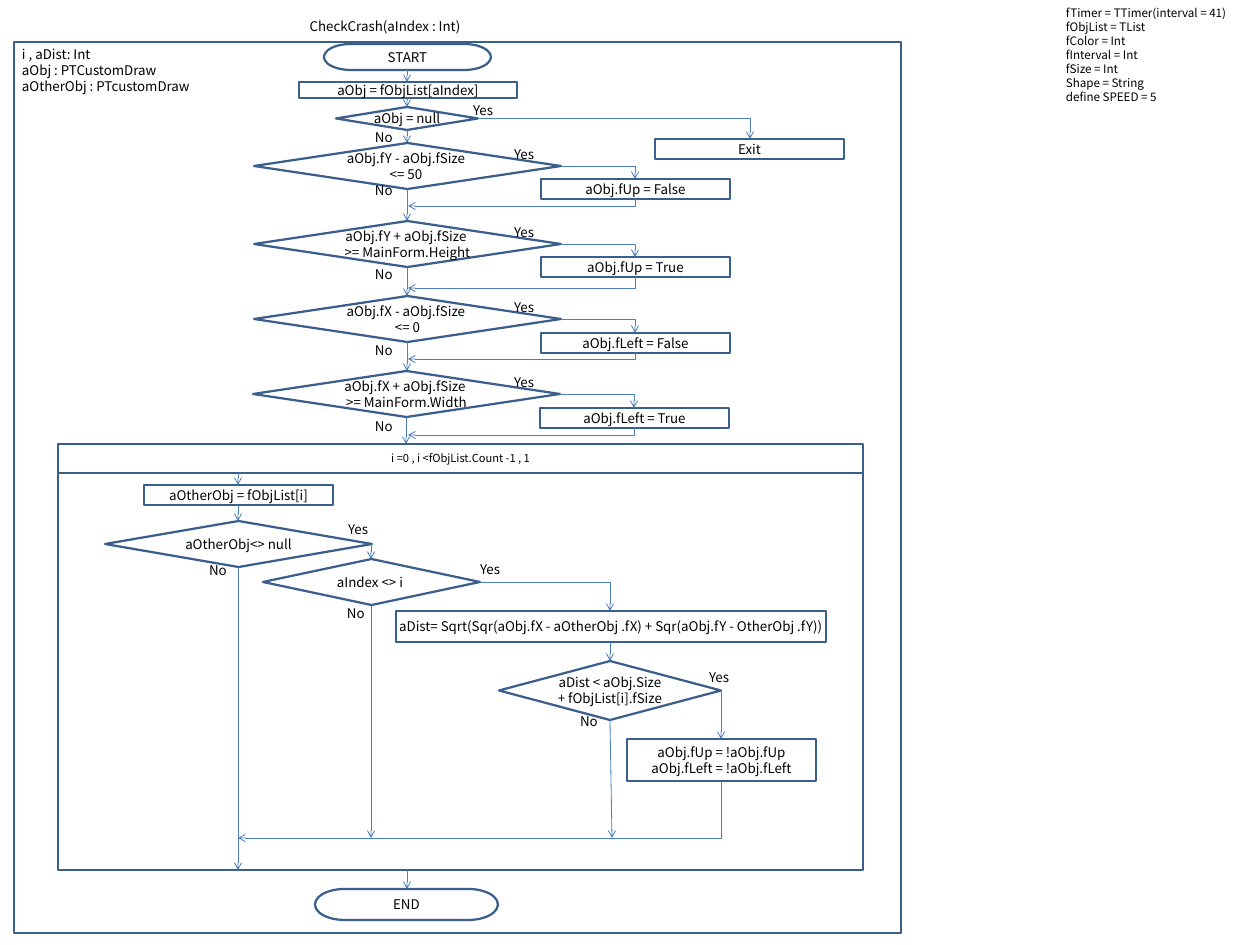
"""Build the CheckCrash flowchart slide."""
from dataclasses import dataclass

from lxml import etree
from pptx import Presentation
from pptx.dml.color import RGBColor
from pptx.enum.shapes import MSO_CONNECTOR, MSO_SHAPE
from pptx.enum.text import MSO_ANCHOR, PP_ALIGN
from pptx.oxml.ns import qn
from pptx.util import Emu, Pt

RECT = MSO_SHAPE.RECTANGLE
DECISION = MSO_SHAPE.FLOWCHART_DECISION
TERMINATOR = MSO_SHAPE.FLOWCHART_TERMINATOR
STRAIGHT, ELBOW = MSO_CONNECTOR.STRAIGHT, MSO_CONNECTOR.ELBOW
LEFT, CENTER = PP_ALIGN.LEFT, PP_ALIGN.CENTER
TOP, MIDDLE = MSO_ANCHOR.TOP, MSO_ANCHOR.MIDDLE
PIXEL = 11430
FONT = "Noto Sans CJK KR"
BORDER, FLOW, INK = "3A5F8C", "4B7EBC", "000000"
MAIN_X, MERGE_X, ASSIGN_X = 407, 408, 635
LOOP_X, INDEX_X, DISTANCE_X, BOUNCE_X = 238, 371, 610, 721
LOOP_TOP, LOOP_JOIN, LOOP_END = 444, 838, 870


@dataclass
class Node:
    kind: MSO_SHAPE
    x: int
    y: int
    width: int
    height: int
    text: str = ""
    size: float = 12


@dataclass
class Note:
    x: int
    y: int
    width: int
    height: int
    text: str
    size: float = 12
    align: PP_ALIGN = LEFT
    anchor: MSO_ANCHOR = TOP


@dataclass
class Arrow:
    x1: int
    y1: int
    x2: int
    y2: int


@dataclass
class SideStep(Arrow):
    """Arrow that runs across, then down."""


@dataclass
class ReturnStep(Arrow):
    """Arrow that runs down, then back to the left."""


@dataclass
class BorderCheck:
    top: int
    condition: str
    action: str
    action_top: int
    no_top: int
    merge_y: int
    shift: int = 0


def px(value: float) -> Emu:
    return Emu(round(value * PIXEL))


def color(value: str) -> RGBColor:
    return RGBColor.from_string(value)


def write(frame, text: str, size: float, align: PP_ALIGN, anchor: MSO_ANCHOR) -> None:
    frame.word_wrap = True
    frame.vertical_anchor = anchor
    frame.margin_left = frame.margin_right = frame.margin_top = frame.margin_bottom = 0
    frame.text = text
    for paragraph in frame.paragraphs:
        paragraph.alignment = align
        paragraph.font.name = FONT
        paragraph.font.size = Pt(size)
        paragraph.font.color.rgb = color(INK)


def draw_node(slide, node: Node) -> None:
    shape = slide.shapes.add_shape(
        node.kind, px(node.x), px(node.y), px(node.width), px(node.height))
    shape.shadow.inherit = False
    shape.fill.background()
    shape.line.color.rgb = color(BORDER)
    shape.line.width = Pt(2)
    if node.text:
        write(shape.text_frame, node.text, node.size, CENTER, MIDDLE)


def draw_note(slide, note: Note) -> None:
    box = slide.shapes.add_textbox(px(note.x), px(note.y), px(note.width), px(note.height))
    write(box.text_frame, note.text, note.size, note.align, note.anchor)


def draw_arrow(slide, arrow: Arrow) -> None:
    x1, y1, x2, y2 = arrow.x1, arrow.y1, arrow.x2, arrow.y2
    returning = isinstance(arrow, ReturnStep)
    if returning:
        mid_x, mid_y = (x1 + x2) / 2, (y1 + y2) / 2
        half_run, half_drop = abs(x2 - x1) / 2, abs(y2 - y1) / 2
        x1, x2 = mid_x - half_drop, mid_x + half_drop
        y1, y2 = mid_y - half_run, mid_y + half_run
    bent = isinstance(arrow, (SideStep, ReturnStep))
    connector = slide.shapes.add_connector(
        ELBOW if bent else STRAIGHT, px(x1), px(y1), px(x2), px(y2))
    connector.line.color.rgb = color(FLOW)
    connector.line.width = Pt(0.75)
    properties = connector.element.spPr
    if bent:
        properties.find(qn("a:prstGeom")).set("prst", "bentConnector2")
    if returning:
        properties.find(qn("a:xfrm")).set("rot", "5400000")
    etree.SubElement(properties.find(qn("a:ln")), qn("a:tailEnd"), type="arrow")
    etree.SubElement(properties, qn("a:effectLst"))


def yes(x: int, y: int) -> Note:
    return Note(x, y, 28, 12, "Yes")


def no(x: int, y: int) -> Note:
    return Note(x, y, 28, 12, "No")


def check_parts(check: BorderCheck, next_top: int) -> list:
    middle, bottom = check.top + 23, check.top + 46
    action_x = ASSIGN_X + check.shift
    return [
        Node(DECISION, 254 + check.shift, check.top, 307, 46, check.condition),
        Node(RECT, 541 + check.shift, check.action_top, 189, 20, check.action),
        SideStep(561 + check.shift, middle, action_x, check.action_top),
        ReturnStep(action_x, check.action_top + 20, MERGE_X, check.merge_y),
        Arrow(MAIN_X + check.shift, bottom, MAIN_X + check.shift, next_top),
        yes(514, check.top + 3),
        no(375, check.no_top),
    ]


CHECKS = [
    BorderCheck(143, "aObj.fY - aObj.fSize \n<= 50 ", "aObj.fUp = False", 179, 182, 206),
    BorderCheck(221, "aObj.fY + aObj.fSize \n>= MainForm.Height", "aObj.fUp = True", 257, 266, 288),
    BorderCheck(296, "aObj.fX - aObj.fSize \n<= 0", "aObj.fLeft = False", 333, 342, 359),
    BorderCheck(371, "aObj.fX + aObj.fSize \n>= MainForm.Width", "aObj.fLeft = True",
                408, 418, 435, -1),
]
FRAME = [
    Node(RECT, 14, 42, 887, 891),
    Note(14, 13, 742, 26, "CheckCrash(aIndex : Int)", align=CENTER, anchor=MIDDLE),
    Note(22, 46, 185, 49, "i , aDist: Int\naObj : PTCustomDraw\naOtherObj : PTcustomDraw"),
    Note(1066, 6, 194, 99, "fTimer = TTimer(interval = 41)\nfObjList = TList\nfColor = Int\n"
         "fInterval = Int\nfSize = Int\nShape = String\ndefine SPEED = 5", 10.5),
]
OPENING = [
    Node(TERMINATOR, 324, 44, 167, 26, "START"),
    Node(RECT, 299, 82, 218, 16, "aObj = fObjList[aIndex]"),
    Node(DECISION, 336, 107, 142, 23, "aObj = null"),
    Node(RECT, 655, 139, 189, 20, "Exit"),
    Arrow(MAIN_X, 70, MAIN_X, 82),
    Arrow(MAIN_X, 98, MAIN_X, 107),
    Arrow(MAIN_X, 130, MAIN_X, 143),
    SideStep(478, 118, 750, 139),
    yes(473, 102),
    no(375, 129),
]
LOOP = [
    Node(RECT, 58, 473, 805, 397),
    Node(RECT, 58, LOOP_TOP, 805, 29, "i =0 , i <fObjList.Count -1 , 1", 10),
    Node(RECT, 144, 485, 189, 20, "aOtherObj = fObjList[i]"),
    Node(DECISION, 105, 521, 267, 46, "aOtherObj<> null"),
    Node(DECISION, 263, 559, 217, 46, "aIndex <> i "),
    Node(RECT, 396, 611, 430, 31,
         "aDist= Sqrt(Sqr(aObj.fX - aOtherObj .fX) + Sqr(aObj.fY - OtherObj .fY))"),
    Node(DECISION, 499, 661, 222, 59, "aDist < aObj.Size + fObjList[i].fSize"),
    Node(RECT, 627, 739, 189, 42, "aObj.fUp = !aObj.fUp\naObj.fLeft = !aObj.fLeft"),
    Arrow(LOOP_X, 473, LOOP_X, 485),
    Arrow(LOOP_X, 505, LOOP_X, 521),
    Arrow(LOOP_X, 567, LOOP_X, LOOP_END),
    Arrow(INDEX_X, 544, INDEX_X, 559),
    Arrow(INDEX_X, 605, INDEX_X, LOOP_JOIN),
    SideStep(480, 582, DISTANCE_X, 611),
    Arrow(DISTANCE_X, 642, DISTANCE_X, 661),
    Arrow(DISTANCE_X, 720, DISTANCE_X + 2, LOOP_JOIN),
    Arrow(BOUNCE_X, 690, BOUNCE_X, 739),
    ReturnStep(BOUNCE_X, 781, LOOP_X, LOOP_JOIN),
    yes(348, 521), no(209, 562),
    yes(480, 561), no(347, 605),
    yes(709, 669), no(580, 713),
]
CLOSING = [
    Arrow(MAIN_X, LOOP_END, MAIN_X, 889),
    Node(TERMINATOR, 315, 889, 183, 31, "END"),
]
DRAW = {Node: draw_node, Note: draw_note, Arrow: draw_arrow,
        SideStep: draw_arrow, ReturnStep: draw_arrow}

deck = Presentation()
deck.slide_width, deck.slide_height = px(1260), px(945)
flowchart = deck.slides.add_slide(deck.slide_layouts[6])
next_tops = [check.top for check in CHECKS[1:]] + [LOOP_TOP]
border_checks = [part for check, next_top in zip(CHECKS, next_tops)
                 for part in check_parts(check, next_top)]
for element in FRAME + OPENING + border_checks + LOOP + CLOSING:
    DRAW[type(element)](flowchart, element)
deck.save("out.pptx")
